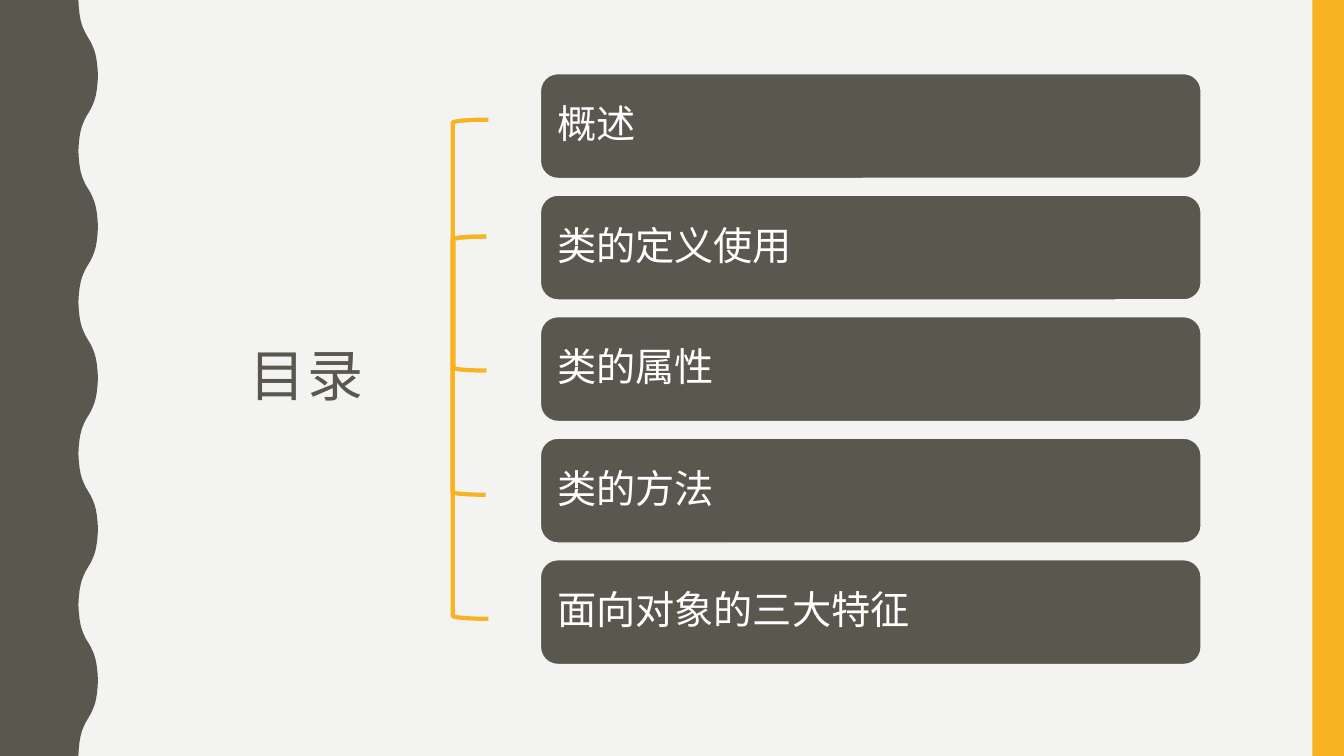
from lxml.etree import SubElement
from pptx import Presentation
from pptx.dml.color import RGBColor
from pptx.enum.shapes import MSO_SHAPE
from pptx.enum.text import MSO_ANCHOR, PP_ALIGN
from pptx.oxml.ns import qn
from pptx.util import Pt

DARK, GOLD, PAPER, WHITE = "59574E", "F8B323", "F3F3F2", "FFFFFF"
FONT = "Noto Sans CJK SC"
WIDTH, HEIGHT = 960, 540


def color(hex_code):
    return RGBColor.from_string(hex_code)


class SlideBuilder:
    def __init__(self, slide, font):
        self.slide = slide
        self.font = font

    def background(self, fill):
        self.slide.background.fill.solid()
        self.slide.background.fill.fore_color.rgb = color(fill)

    def paint(self, shape, fill=None, line=None, weight=1):
        shape.shadow.inherit = False
        if fill:
            shape.fill.solid()
            shape.fill.fore_color.rgb = color(fill)
        else:
            shape.fill.background()
        if line:
            shape.line.color.rgb = color(line)
            shape.line.width = Pt(weight)
        else:
            shape.line.fill.background()
        return shape

    def shape(self, kind, box, **paint):
        shape = self.slide.shapes.add_shape(kind, *map(Pt, box))
        return self.paint(shape, **paint)

    def outline(self, points, fill):
        start, *rest = [(Pt(x), Pt(y)) for x, y in points]
        builder = self.slide.shapes.build_freeform(*start)
        builder.add_line_segments(rest, close=True)
        return self.paint(builder.convert_to_shape(), fill=fill)

    def label(self, shape, text, size, ink, align, inset, spacing=0):
        frame = shape.text_frame
        frame.word_wrap = True
        frame.vertical_anchor = MSO_ANCHOR.MIDDLE
        frame.margin_left = frame.margin_right = Pt(inset)
        frame.margin_top = frame.margin_bottom = Pt(inset)
        paragraph = frame.paragraphs[0]
        paragraph.alignment = align
        paragraph.line_spacing = 0.9
        run = paragraph.add_run()
        run.text = text
        run.font.size = Pt(size)
        run.font.name = self.font
        run.font.color.rgb = color(ink)
        properties = run.font._element
        SubElement(properties, qn("a:ea")).set("typeface", self.font)
        if spacing:
            properties.set("spc", str(spacing * 100))

    def title(self, text, box):
        title = self.slide.shapes.add_textbox(*map(Pt, box))
        self.label(title, text, 40, DARK, PP_ALIGN.CENTER, 7.2, spacing=2)

    def topic(self, text, box):
        card = self.shape(MSO_SHAPE.ROUNDED_RECTANGLE, box, fill=DARK, line=PAPER)
        self.label(card, text, 28, WHITE, PP_ALIGN.LEFT, 8.4)

    def bracket(self, box):
        self.shape(MSO_SHAPE.LEFT_BRACKET, box, line=GOLD, weight=3)


def wave_edge(left, depth, period, count):
    rise = [(0, 0), (0.3, 5), (0.8, 10), (1.6, 14.4),
            (2.6, 18), (3.8, 21), (5.2, 24), (7, 27)]
    outward = rise + [(depth - x, period / 2 - y) for x, y in rise[-2::-1]]
    wave = outward + [(x, period - y) for x, y in outward[-2::-1]]
    return [(left + x, top * period + y) for top in range(count) for x, y in wave]


def main():
    deck = Presentation()
    deck.slide_width, deck.slide_height = Pt(WIDTH), Pt(HEIGHT)
    builder = SlideBuilder(deck.slides.add_slide(deck.slide_layouts[6]), FONT)
    builder.background(PAPER)

    edge = wave_edge(left=56, depth=14, period=108, count=5)
    builder.outline([(0, 0), *edge, (0, HEIGHT)], DARK)
    builder.shape(MSO_SHAPE.RECTANGLE, (937.5, 0, 22.5, HEIGHT), fill=GOLD)
    builder.title("目录", (121.7, 56.9, 194.4, 427))

    topics = ["概述", "类的定义使用", "类的属性", "类的方法", "面向对象的三大特征"]
    for row, topic in enumerate(topics):
        builder.topic(topic, (386, 52.6 + row * 86.8, 472, 74.9))

    for box in [(323.4, 85.5, 25.5, 356.5),
                (323.9, 169, 23.6, 95.7),
                (323.3, 169, 23.6, 184.4)]:
        builder.bracket(box)

    deck.save("out.pptx")


if __name__ == "__main__":
    main()
